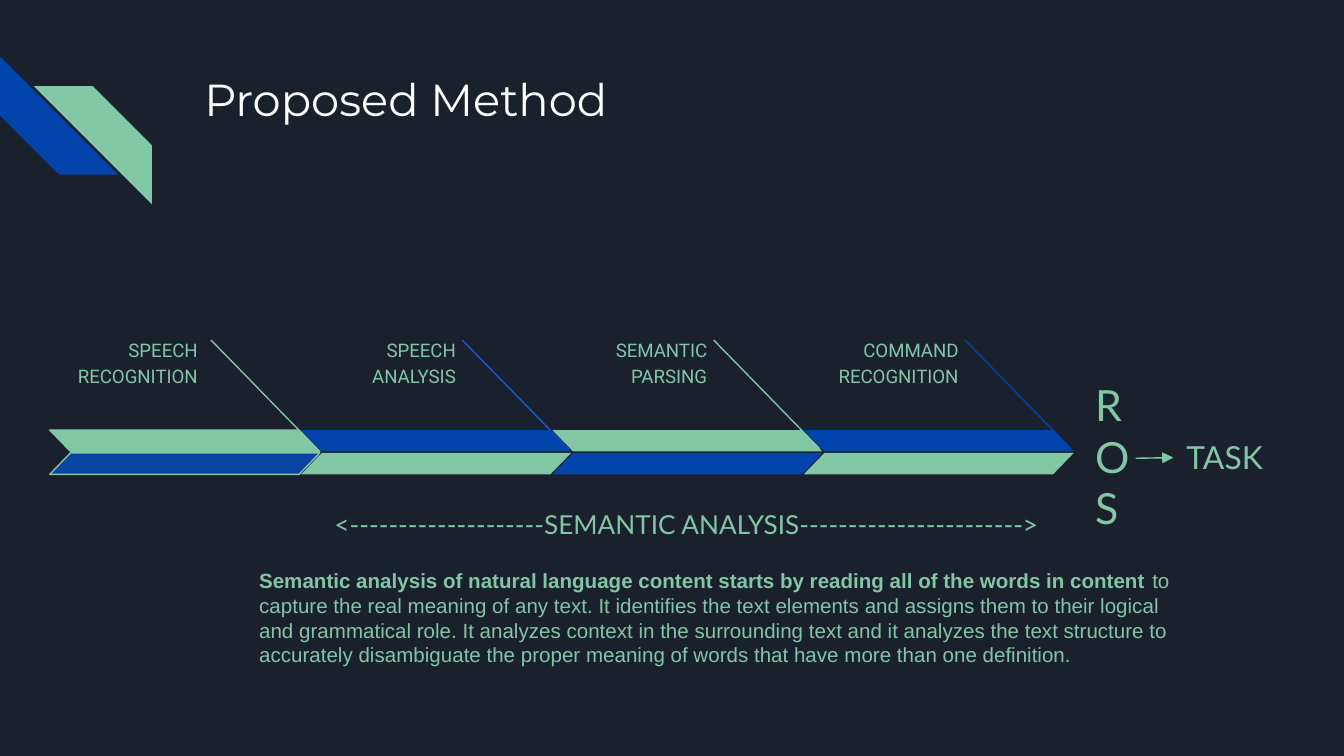
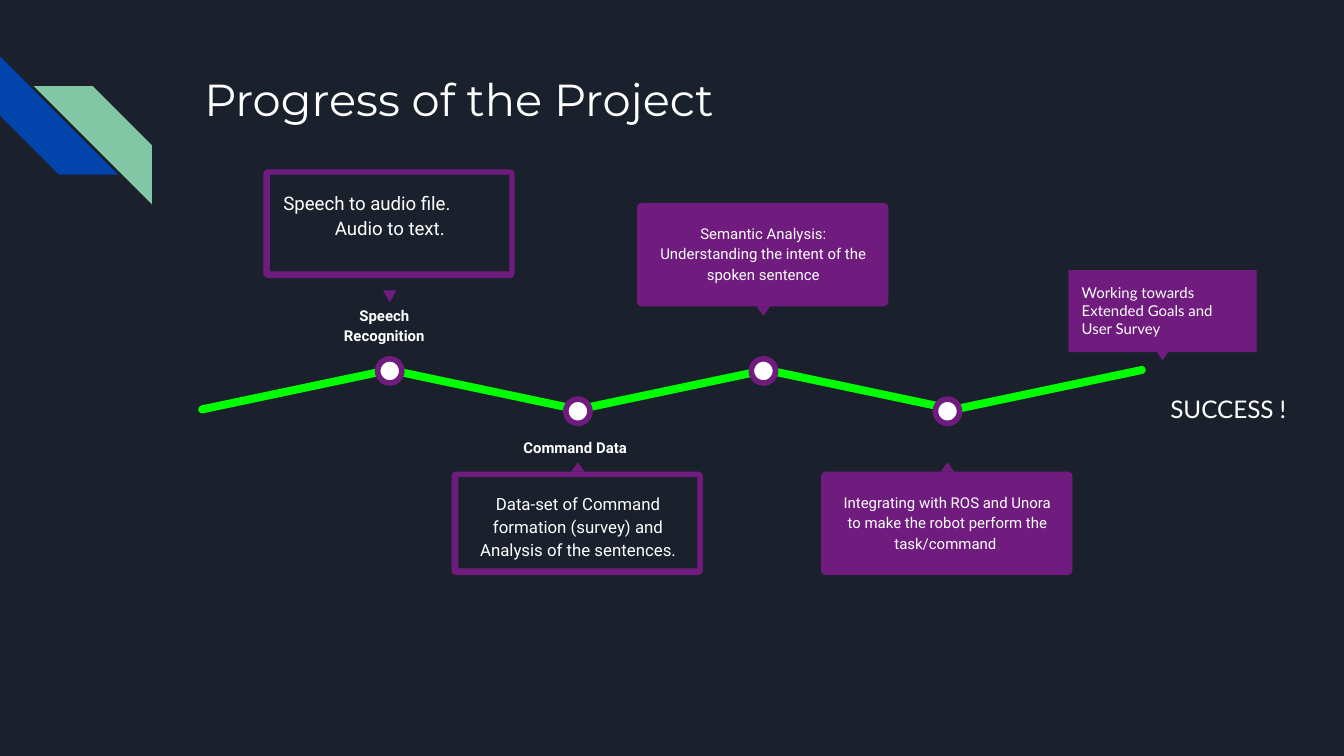
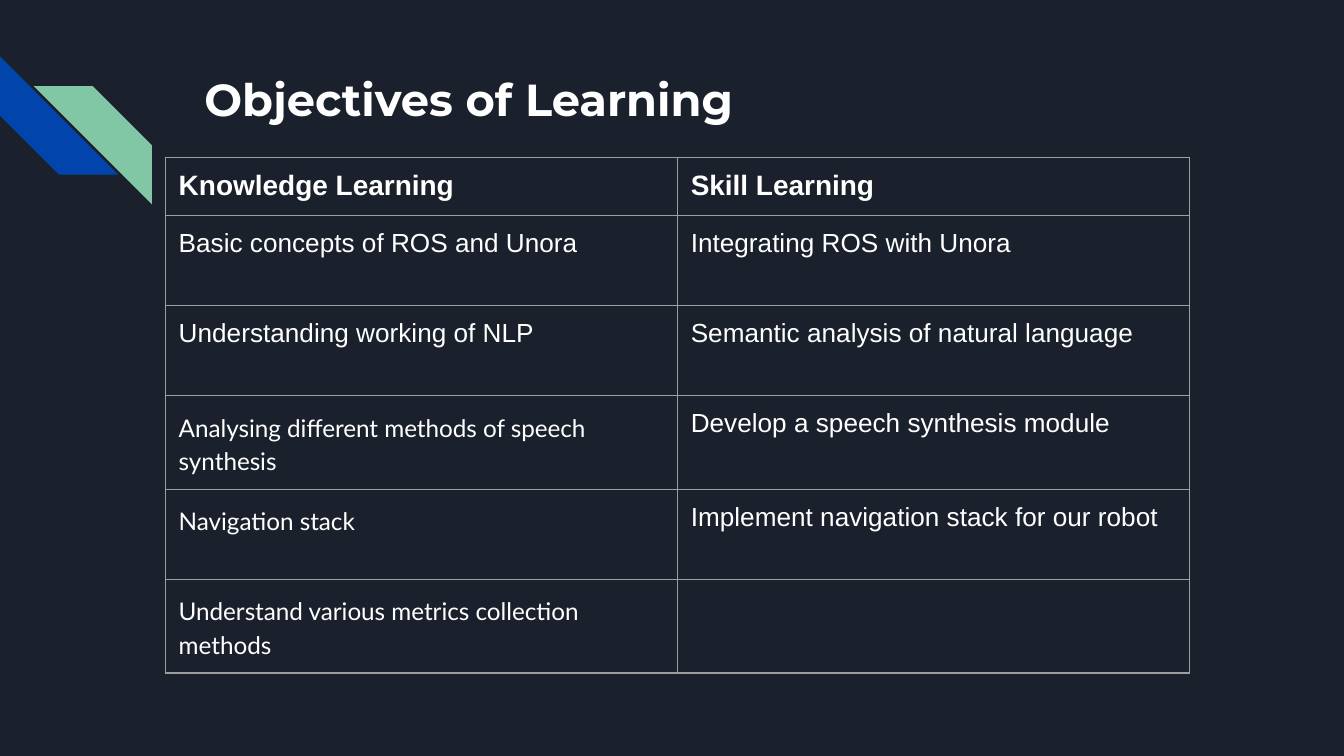
"""Build three project slides: method, progress and learning objectives."""
import pptx
import pptx.util
import pptx.dml.color
import pptx.enum.shapes
import pptx.enum.text
import pptx.oxml
import pptx.oxml.ns
from lxml import etree

Inches, Pt = pptx.util.Inches, pptx.util.Pt
SHAPE = pptx.enum.shapes.MSO_SHAPE
LINE = pptx.enum.shapes.MSO_CONNECTOR.STRAIGHT
ALIGN = pptx.enum.text.PP_ALIGN
TOP = pptx.enum.text.MSO_ANCHOR.TOP
qn = pptx.oxml.ns.qn

COLORS = {
    "night": "1B212C", "blue": "0145AC", "deep": "0944A1", "bright": "0D5DDF",
    "mint": "82C7A5", "white": "FFFFFF", "purple": "701C7F", "lime": "00FF00",
    "grey": "5E5E5E", "grid": "9E9E9E",
}
MARGIN = Inches(0.1)


def rgb(name):
    """Return the named colour."""
    return pptx.dml.color.RGBColor.from_string(COLORS[name])


def style(r, size, color, font, bold=False):
    """Format one run."""
    r.font.size, r.font.name, r.font.bold = Pt(size), font, bold
    r.font.color.rgb = rgb(color)


def write(tf, text, size, color, font, bold=False, align=ALIGN.LEFT, spacing=None, after=None):
    """Fill a text frame with paragraphs of one style."""
    tf.text = text
    tf.word_wrap = True
    tf.vertical_anchor = TOP
    tf.margin_left = tf.margin_right = tf.margin_top = tf.margin_bottom = MARGIN
    for p in tf.paragraphs:
        p.alignment = align
        if spacing:
            p.line_spacing = spacing
        if after:
            p.space_after = Pt(after)
        for r in p.runs:
            style(r, size, color, font, bold)


def add_text(shapes, box, text, size, color, font, **options):
    """Add a text box at left, top, width, height."""
    sp = shapes.add_textbox(*map(Inches, box))
    write(sp.text_frame, text, size, color, font, **options)
    return sp


def add_block(shapes, kind, box, fill, line=None, weight=0.75, adj=None, rotation=0, flip=False):
    """Add a flat preset shape."""
    sp = shapes.add_shape(kind, *map(Inches, box))
    sp.shadow.inherit = False
    sp.fill.solid()
    sp.fill.fore_color.rgb = rgb(fill)
    if line:
        sp.line.color.rgb = rgb(line)
        sp.line.width = Pt(weight)
    else:
        sp.line.fill.background()
    if adj is not None:
        sp.adjustments[0] = adj
    sp.rotation = rotation
    if flip:
        sp.element.spPr.get_or_add_xfrm().set("flipH", "1")
    return sp


def add_line(shapes, start, end, color, arrow=False):
    """Add a thin straight line, with an arrowhead if asked."""
    c = shapes.add_connector(LINE, *map(Inches, start + end))
    c.line.color.rgb = rgb(color)
    c.line.width = Pt(0.75)
    if arrow:
        etree.SubElement(c.line._get_or_add_ln(), qn("a:tailEnd"), type="triangle")
    etree.SubElement(c.element.spPr, qn("a:effectLst"))
    return c


def set_up_layout(prs, layout):
    """Give the layout its background and title place."""
    fill = prs.slide_master.background.fill
    fill.solid()
    fill.fore_color.rgb = rgb("night")
    title = layout.placeholders[0]
    title.left, title.top, title.width, title.height = map(Inches, (1.42, 0.43, 7.7, 1))


def add_stripes(s, layout):
    """Draw the corner stripes and hand them to the layout."""
    stripe = SHAPE.DIAGONAL_STRIPE
    group = s.shapes.add_group_shape()
    add_block(group.shapes, stripe, (0, 0.42, 0.88, 0.88), "blue", adj=0.5, rotation=270)
    add_block(group.shapes, stripe, (0.25, 0.64, 0.88, 0.88), "mint", adj=0.5, flip=True)
    layout.shapes.element.insert(2, group.element)


def add_slide(prs, layout, title, bold=False):
    """Add a slide with a title."""
    s = prs.slides.add_slide(layout)
    write(s.shapes.title.text_frame, title, 24, "white", "Montserrat", bold=bold)
    return s


def add_stage(s, x, y, label, label_right, upper, lower, pointer, outline=None):
    """Draw one stage of the process band with its label and slanted pointer."""
    shapes = s.shapes.add_group_shape().shapes
    add_text(shapes, (x + label_right - 1.16, y, 1.16, 0.65), label, 10, "mint", "Roboto",
             align=ALIGN.RIGHT, spacing=1.15, after=16)
    add_line(shapes, (x + 1.2, y + 0.13), (x + 1.99, y + 0.94), pointer)
    for top, fill, flip in ((0.8, upper, True), (0.97, lower, False)):
        add_block(shapes, SHAPE.PARALLELOGRAM, (x, y + top, 2.01, 0.16), fill, outline,
                  adj=0.97, flip=flip)


def build_method(s):
    """Lay out the process band, its outcome and the explanation."""
    stages = [
        ("SPEECH RECOGNITION", 1.2, "mint", "deep", "mint", "mint"),
        ("SPEECH ANALYSIS", 1.25, "blue", "mint", "bright"),
        ("SEMANTIC PARSING", 1.25, "mint", "blue", "mint"),
        ("COMMAND RECOGNITION", 1.25, "blue", "mint", "blue"),
    ]
    for i, stage in enumerate(stages):
        add_stage(s, 0.37 + 1.87 * i, 2.4, *stage)
    add_text(s.shapes, (8.05, 2.72, 0.56, 1.36), "R\nO\nS", 23, "mint", "Lato")
    task = add_text(s.shapes, (8.73, 3.16, 0.9, 0.49), "TASK", 17, "mint", "Lato")
    add_line(s.shapes, (8.45, 3.41), (8.73, 3.4), "mint", arrow=True).end_connect(task, 1)
    add_text(s.shapes, (2.39, 3.68, 5.49, 0.44),
             "<--------------------SEMANTIC ANALYSIS----------------------->", 14, "mint", "Lato")
    sp = add_text(s.shapes, (1.83, 4.13, 7.16, 0.94),
                  "Semantic analysis of natural language content starts by reading all of the "
                  "words in content", 11, "mint", "Arial", bold=True)
    r = sp.text_frame.paragraphs[0].add_run()
    r.text = (" to capture the real meaning of any text. It identifies the text elements and "
              "assigns them to their logical and grammatical role. It analyzes context in the "
              "surrounding text and it analyzes the text structure to accurately disambiguate "
              "the proper meaning of words that have more than one definition.")
    style(r, 11, "mint", "Arial")


def add_node(s, x, y):
    """Draw a ringed dot centred on a point."""
    add_block(s.shapes, SHAPE.OVAL, (x - 0.09, y - 0.09, 0.18, 0.18), "white", "purple", 3)


def add_pointer(shapes, x, y, height, down):
    """Draw a small triangle whose top is at y."""
    add_block(shapes, SHAPE.ISOSCELES_TRIANGLE, (x - 0.05, y, 0.1, height), "purple",
              rotation=180 if down else 0)


def add_card(s, x, y, height, text, size, inner):
    """Draw a rounded card centred on x and return its inner panel."""
    shapes = s.shapes.add_group_shape().shapes
    add_block(shapes, SHAPE.ROUNDED_RECTANGLE, (x - 0.94, y, 1.87, height), "purple", adj=0.045)
    sp = add_block(shapes, SHAPE.RECTANGLE, (x - 0.89, y + 0.04, 1.78, height - 0.09), inner)
    write(sp.text_frame, text, size, "white", "Roboto", align=ALIGN.CENTER, spacing=1.15)
    return sp


def add_caption(s, x, y, width, height, text):
    """Write a bold caption centred on x."""
    add_text(s.shapes, (x - width / 2, y, width, height), text, 8, "white", "Roboto",
             bold=True, align=ALIGN.CENTER, spacing=1.15)


def build_progress(s):
    """Lay out the zigzag path with its milestones."""
    speech, command, semantic, robot = 2.9, 4.3, 5.68, 7.05
    for i in range(5):
        add_block(s.shapes, SHAPE.ROUNDED_RECTANGLE, (1.46 + 1.4 * i, 2.87, 1.48, 0.06), "lime",
                  adj=0.5, rotation=11.9 if i % 2 else 348.1)
    for i, x in enumerate((speech, command, semantic, robot)):
        add_node(s, x, 3.06 if i % 2 else 2.76)

    sp = add_card(s, speech, 1.26, 0.81, "Speech to audio file.\nAudio to text.", 10, "night")
    sp.text_frame.paragraphs[0].alignment = ALIGN.LEFT
    add_pointer(s.shapes, speech, 2.16, 0.09, True)
    add_caption(s, speech - 0.04, 2.16, 1.14, 0.44, "Speech Recognition")

    add_card(s, command, 3.51, 0.77,
             "Data-set of Command formation (survey) and Analysis of the sentences.", 9, "night")
    add_pointer(s.shapes, command, 3.44, 0.07, False)
    add_caption(s, command - 0.02, 3.17, 1.1, 0.3, "Command Data")

    add_card(s, semantic, 1.51, 0.77,
             "Semantic Analysis: Understanding the intent of the spoken sentence", 8, "purple")
    add_pointer(s.shapes, semantic, 2.28, 0.07, True)

    sp = add_card(s, robot, 3.51, 0.77,
                  "Integrating with ROS and Unora to make the robot perform the task/command",
                  8, "purple")
    r = sp.text_frame.paragraphs[0].add_run()
    r.text = "."
    style(r, 8, "grey", "Roboto")
    add_pointer(s.shapes, robot, 3.44, 0.07, False)

    goal = add_block(s.shapes, SHAPE.RECTANGLE, (7.95, 2.01, 1.4, 0.61), "purple")
    write(goal.text_frame, "Working towards Extended Goals and User Survey", 8, "white", "Lato")
    add_pointer(s.shapes, 8.65, 2.61, 0.07, True)
    add_text(s.shapes, (8.61, 2.83, 1.06, 0.42), "SUCCESS !", 13, "white", "Lato")


def add_borders(cell):
    """Draw thin grid lines around a cell."""
    tc_pr = cell._tc.get_or_add_tcPr()
    for side in ("lnL", "lnR", "lnT", "lnB"):
        ln = etree.SubElement(tc_pr, qn("a:" + side), w=str(Pt(0.75)))
        fill = etree.SubElement(ln, qn("a:solidFill"))
        etree.SubElement(fill, qn("a:srgbClr"), val=COLORS["grid"])


def build_objectives(s):
    """Lay out the table of learning objectives."""
    rows = [
        ("Knowledge Learning", "Skill Learning"),
        ("Basic concepts of ROS and Unora", "Integrating ROS with Unora"),
        ("Understanding working of NLP", "Semantic analysis of natural language"),
        ("Analysing different methods of speech synthesis", "Develop a speech synthesis module"),
        ("Navigation stack", "Implement navigation stack for our robot"),
        ("Understand various metrics collection methods", ""),
    ]
    frame = s.shapes.add_table(len(rows), 2, *map(Inches, (1.23, 1.17, 7.62, 3.75)))
    table = frame.table
    table.first_row = table.horz_banding = False
    for column in table.columns:
        column.width = Inches(3.81)
    for i, row in enumerate(rows):
        table.rows[i].height = Inches(0.67 if i else 0.4)
        for j, text in enumerate(row):
            cell = table.cell(i, j)
            cell.margin_left = cell.margin_right = MARGIN
            cell.margin_top = cell.margin_bottom = MARGIN
            add_borders(cell)
            cell.fill.background()
            if not text:
                continue
            cell.text_frame.text = text
            p = cell.text_frame.paragraphs[0]
            if i >= 3 and j == 0:
                p.line_spacing, p.space_after = 1.15, Pt(12)
                style(p.runs[0], 13, "white", "Lato")
            else:
                style(p.runs[0], 14 if i else 15, "white", "Arial", bold=i == 0)


def main():
    """Build and save the presentation."""
    prs = pptx.Presentation()
    prs.slide_width = Inches(10)
    prs.slide_height = prs.slide_width * 9 // 16
    layout = prs.slide_layouts[5]
    set_up_layout(prs, layout)
    s = add_slide(prs, layout, "Proposed Method")
    add_stripes(s, layout)
    build_method(s)
    build_progress(add_slide(prs, layout, "Progress of the Project"))
    build_objectives(add_slide(prs, layout, "Objectives of Learning", bold=True))
    prs.save("out.pptx")


if __name__ == "__main__":
    main()
